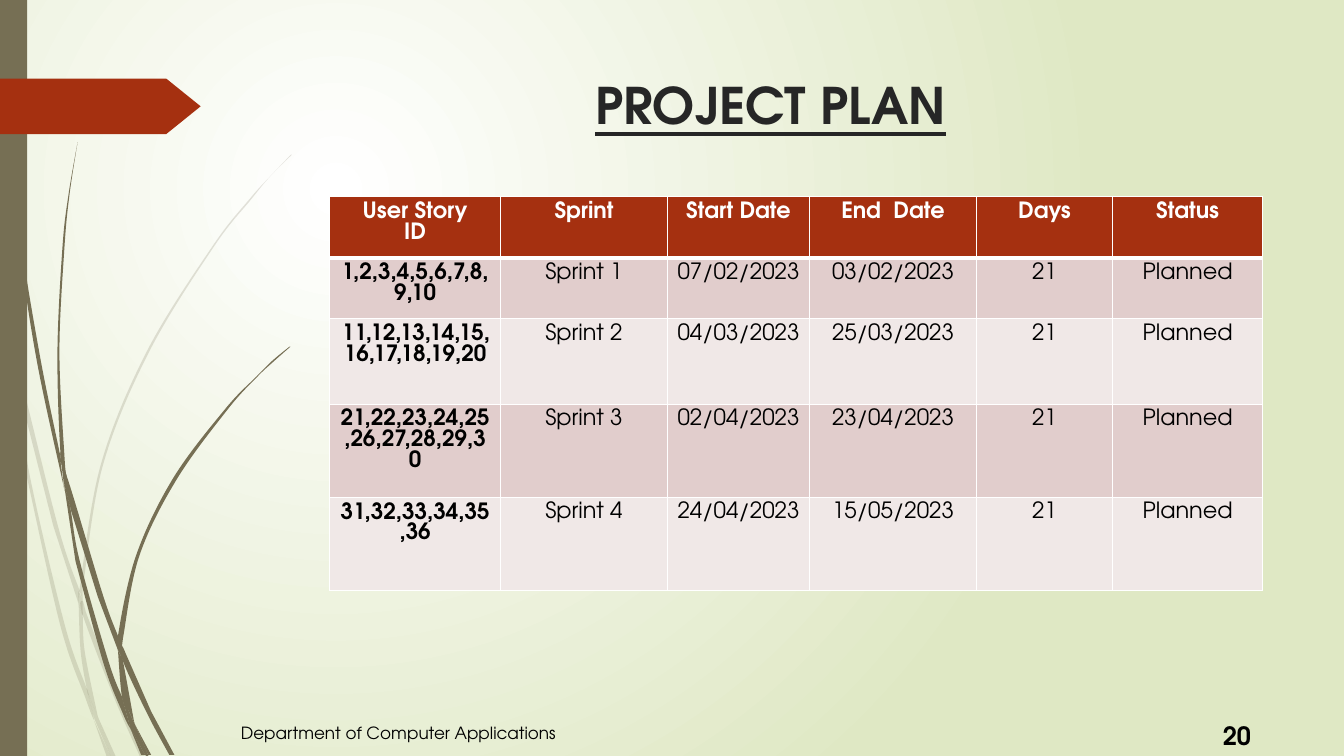
"""Build the project plan slide with its sprint table and grass decoration."""
from dataclasses import dataclass

from lxml import etree
from pptx import Presentation
from pptx.dml.color import RGBColor
from pptx.enum.shapes import MSO_SHAPE
from pptx.enum.text import MSO_ANCHOR, MSO_AUTO_SIZE, PP_ALIGN
from pptx.oxml.ns import qn
from pptx.util import Emu, Inches, Pt

CENTER, LEFT = PP_ALIGN.CENTER, PP_ALIGN.LEFT
TOP, NO_FIT = MSO_ANCHOR.TOP, MSO_AUTO_SIZE.NONE
RECTANGLE, PENTAGON = MSO_SHAPE.RECTANGLE, MSO_SHAPE.PENTAGON
FONT = "TeX Gyre Adventor"
OLIVE, RUST, WHITE, BLACK, INK = "766F54", "A53010", "FFFFFF", "000000", "262626"
BANDS = ("E1CDCC", "F0E8E7")
GRID = Inches(0.1)
FAINT_OPACITY = 20
Point = tuple[float, float]


@dataclass
class Box:
    """A place on the slide, in grid columns and rows."""
    left: float
    top: float
    width: float
    height: float

    def lengths(self) -> list[Emu]:
        """Return left, top, width and height as lengths."""
        return [cells(n) for n in (self.left, self.top, self.width, self.height)]


@dataclass
class TextStyle:
    """The look of a run."""
    size: float
    color: str = BLACK
    bold: bool = False
    underline: bool = False


@dataclass
class Blade:
    """A piece of grass between two curved edges, in grid columns and rows."""
    outer: list[Point]
    inner: list[Point]


FAINT_BLADES = [
    Blade([(1, 35), (0.8, 32.2), (0, 28.2)], [(0, 29.9), (0.9, 34.4)]),
    Blade([(5.3, 52.2), (7.8, 59.9)], [(7.9, 58.6), (5.7, 52), (1.3, 34.5), (1.6, 37.6)]),
    Blade([(8.5, 60.7), (8.2, 59.6), (8.2, 61), (11.4, 69.4), (13.9, 75.1)], [(14.4, 75.1), (11.8, 69.2)]),
    Blade([(11, 75.1), (11.5, 75.1)], [(9.7, 71.1)]),
    Blade([(8.6, 68.3), (6.4, 61.9), (2.9, 46.9), (1.6, 37.6), (1, 35)],
          [(2.6, 47), (6, 62.1), (8.5, 69.3), (9.3, 71.4), (9.2, 70.7)]),
    Blade([(7.8, 59.9), (8, 64.6), (8.6, 68.3), (8.9, 69.2), (9.7, 71.1)],
          [(9.6, 70.6), (8.4, 64.6), (8.2, 61), (8.1, 60.8)]),
    Blade([(8.2, 58.4), (10.2, 46.2), (14.8, 34.9), (21.2, 24.5), (24.9, 19.8), (26.8, 17.5), (28.9, 15.4)],
          [(28.9, 15.3), (26.8, 17.5), (24.8, 19.7), (21.1, 24.4), (14.6, 34.8), (10, 46.1), (7.9, 58.4),
           (7.9, 58.6), (8.2, 59.6)]),
    Blade([(9.3, 71.4), (10.6, 75.1)], [(11, 75.1)]),
    Blade([(8.1, 60.8), (8.2, 61), (8.2, 59.6)], [(7.8, 58.6), (7.8, 59.9)]),
    Blade([(8.9, 69.2), (8.6, 68.3), (9.2, 70.7), (9.4, 71.4)], [(11, 75.1), (9.7, 71.1)]),
]
DARK_BLADES = [
    Blade([(0.7, 11), (1.8, 23.3), (3.6, 35.5), (6.2, 47.7), (6.3, 48.1)],
          [(6, 45.7), (6, 45.3), (4, 35.5), (2, 23.2), (0.8, 10.9), (0.5, 4.8), (0.4, 0), (0.3, 0), (0.4, 4.8)]),
    Blade([(9.7, 59.2), (11.7, 64.5)], [(11.7, 63.3), (11.7, 63.1), (10.2, 59), (6.6, 47.2), (7, 50.5)]),
    Blade([(12.5, 64.9), (12.1, 64.1), (12.2, 65.6), (14.6, 70.8), (16.8, 74.9)], [(17.3, 74.9), (15, 70.6)]),
    Blade([(12.1, 69.1), (10.8, 65.7), (7.9, 55.6), (7, 50.5), (6.3, 47.7)],
          [(7.5, 55.7), (10.3, 65.9), (12.2, 70.8), (12.9, 72.2), (12.8, 71.7)]),
    Blade([(6.6, 47.2), (6.4, 45.3), (5.9, 34.9), (6.4, 24.5), (6.9, 19.3), (7.7, 14.1)],
          [(7.7, 14.1), (6.8, 19.3), (6.2, 24.5), (5.7, 34.9), (6, 44.9), (6.6, 47.2)]),
    Blade([(14.7, 74.9), (15, 74.9)], [(13.4, 71.9)]),
    Blade([(6.3, 47.7), (7, 50.5)], [(6.6, 47.2), (6, 44.9), (6, 45.3)]),
    Blade([(12.2, 63.3), (13.8, 55.2), (17.5, 47.6), (22.6, 40.6), (25.5, 37.4), (27.1, 35.9), (28.8, 34.4)],
          [(28.7, 34.4), (27, 35.8), (25.5, 37.3), (22.4, 40.5), (17.2, 47.4), (13.5, 55.1), (11.7, 63.1),
           (12.1, 64.1)]),
    Blade([(12.9, 72.2), (14, 74.9)], [(14.4, 74.9)]),
    Blade([(11.7, 64.5), (12.1, 69.1), (12.8, 70.6), (13.4, 71.9)], [(13.3, 71.6), (12.2, 65.6), (12, 65.1)]),
    Blade([(11.7, 64.5), (12, 65.1), (12.2, 65.6)], [(12.1, 64.1), (11.7, 63.1), (11.7, 63.3)]),
    Blade([(12.8, 70.6), (12.1, 69.1), (12.8, 71.7), (12.9, 72.2)], [(14.4, 74.9), (14.7, 74.9), (13.4, 71.9)]),
]
COLUMN_WIDTHS = (16.95, 16.55, 14.1, 16.55, 13.5, 14.9)
ROW_HEIGHTS = (6.1, 6, 8.5, 9.25, 9.25)
HEADINGS = ("User Story\nID", "Sprint", "Start Date", "End  Date", "Days", "Status")
SPRINTS = (
    ("1,2,3,4,5,6,7,8,9,10", "07/02/2023", "03/02/2023"),
    ("11,12,13,14,15,16,17,18,19,20", "04/03/2023", "25/03/2023"),
    ("21,22,23,24,25,26,27,28,29,30", "02/04/2023", "23/04/2023"),
    ("31,32,33,34,35,36", "24/04/2023", "15/05/2023"),
)


def cells(count: float) -> Emu:
    """Turn grid cells into a length."""
    return Emu(round(count * GRID))


def paint(fill, color: str) -> None:
    """Fill with one colour."""
    fill.solid()
    fill.fore_color.rgb = RGBColor.from_string(color)


def write(frame, text: str, style: TextStyle, alignment=LEFT, spacing=None) -> None:
    """Write each line of text as a paragraph with one run."""
    for index, line in enumerate(text.split("\n")):
        paragraph = frame.add_paragraph() if index else frame.paragraphs[0]
        paragraph.alignment, paragraph.line_spacing = alignment, spacing
        run = paragraph.add_run()
        run.text = line
        run.font.name, run.font.size = FONT, Pt(style.size)
        run.font.bold, run.font.underline = style.bold, style.underline
        run.font.color.rgb = RGBColor.from_string(style.color)


def finish(shape, color: str) -> None:
    """Give a shape a plain fill without line or shadow."""
    shape.shadow.inherit = False
    shape.line.fill.background()
    paint(shape.fill, color)


def curves(knots: list[Point]) -> list[list[Point]]:
    """Return the control and end points of smooth curves through the knots."""
    padded = [knots[0], *knots, knots[-1]]
    return [[(b[0] + (c[0] - a[0]) / 6, b[1] + (c[1] - a[1]) / 6),
             (c[0] - (d[0] - b[0]) / 6, c[1] - (d[1] - b[1]) / 6), c]
            for a, b, c, d in zip(padded, padded[1:], padded[2:], padded[3:])]


def draw_blade(slide, blade: Blade, opacity: int) -> None:
    """Draw one piece of grass, bending its straight segments into curves."""
    start, *rest = [(cells(x), cells(y)) for x, y in blade.outer + blade.inner]
    builder = slide.shapes.build_freeform(*start)
    builder.add_line_segments(rest)
    shape = builder.convert_to_shape()
    finish(shape, OLIVE)
    lines = shape.element.findall(".//" + qn("a:lnTo"))
    join = len(blade.outer) - 1
    bends = curves(blade.outer) + curves(blade.inner)
    for line, bend in zip(lines[:join] + lines[join + 1:], bends):
        curve = etree.Element(qn("a:cubicBezTo"))
        for x, y in bend:
            etree.SubElement(curve, qn("a:pt"), x=str(cells(x) - shape.left), y=str(cells(y) - shape.top))
        line.getparent().replace(line, curve)
    if opacity < 100:
        color = shape.element.find(".//" + qn("a:srgbClr"))
        etree.SubElement(color, qn("a:alpha"), val=str(opacity * 1000))


def draw_background(slide) -> None:
    """Set the radial gradient behind the slide."""
    fill = slide.background.fill
    fill.gradient()
    for stop, color in zip(fill.gradient_stops, (WHITE, "DFE8C4")):
        stop.color.rgb = RGBColor.from_string(color)
    linear = slide.element.find(".//" + qn("a:lin"))
    circle = etree.Element(qn("a:path"), path="circle")
    etree.SubElement(circle, qn("a:fillToRect"), l="50000", t="50000", r="100000", b="100000")
    linear.getparent().replace(linear, circle)


def set_borders(cell, widths: dict[str, float]) -> None:
    """Draw white borders of the given widths around a cell."""
    for index, (side, width) in enumerate(widths.items()):
        line = etree.Element(qn(f"a:ln{side}"), w=str(Pt(width)))
        solid = etree.SubElement(line, qn("a:solidFill"))
        etree.SubElement(solid, qn("a:srgbClr"), val=WHITE)
        cell._tc.get_or_add_tcPr().insert(index, line)


def draw_table(slide, box: Box) -> None:
    """Draw the sprint table."""
    rows = [HEADINGS] + [(stories, f"Sprint {number}", start, end, "21", "Planned")
                         for number, (stories, start, end) in enumerate(SPRINTS, 1)]
    table = slide.shapes.add_table(len(rows), len(HEADINGS), *box.lengths()).table
    for column, width in zip(table.columns, COLUMN_WIDTHS):
        column.width = cells(width)
    for r, (texts, height) in enumerate(zip(rows, ROW_HEIGHTS)):
        table.rows[r].height = cells(height)
        for c, text in enumerate(texts):
            cell = table.cell(r, c)
            cell.margin_left = cell.margin_right = cells(0.7 if c else 1)
            paint(cell.fill, BANDS[(r - 1) % 2] if r else RUST)
            set_borders(cell, {"L": 1, "R": 1, "T": 3 if r == 1 else 1, "B": 1 if r else 3})
            style = TextStyle(16, BLACK if r else WHITE, bold=r == 0 or c == 0)
            write(cell.text_frame, text, style, CENTER, Pt(14.9))


def add_label(slide, box: Box, text: str, style: TextStyle) -> None:
    """Add a text box."""
    frame = slide.shapes.add_textbox(*box.lengths()).text_frame
    frame.word_wrap = True
    write(frame, text, style)


def build() -> None:
    """Build and save the presentation."""
    presentation = Presentation()
    presentation.slide_width, presentation.slide_height = Inches(13.33), Inches(7.5)
    slide = presentation.slides.add_slide(presentation.slide_layouts[5])
    draw_background(slide)
    for blades, opacity in ((FAINT_BLADES, FAINT_OPACITY), (DARK_BLADES, 100)):
        for blade in blades:
            draw_blade(slide, blade, opacity)
    finish(slide.shapes.add_shape(RECTANGLE, *Box(0, 0, 2.7, 75).lengths()), OLIVE)
    arrow = slide.shapes.add_shape(PENTAGON, *Box(0, 7.8, 19.9, 5.5).lengths())
    arrow.adjustments[0] = 0.62
    finish(arrow, RUST)
    title = slide.shapes.title
    title.left, title.top, title.width, title.height = Box(28.4, 6.85, 96.1, 10.4).lengths()
    title.text_frame.vertical_anchor, title.text_frame.auto_size = TOP, NO_FIT
    write(title.text_frame, "PROJECT PLAN", TextStyle(36, INK, True, True), CENTER)
    draw_table(slide, Box(32.7, 19.5, 92.6, 39.1))
    add_label(slide, Box(22.9, 71.2, 52.3, 3), "Department of Computer Applications", TextStyle(12))
    add_label(slide, Box(120.3, 71, 4.9, 4), "20", TextStyle(18, bold=True))
    presentation.save("out.pptx")


build()
